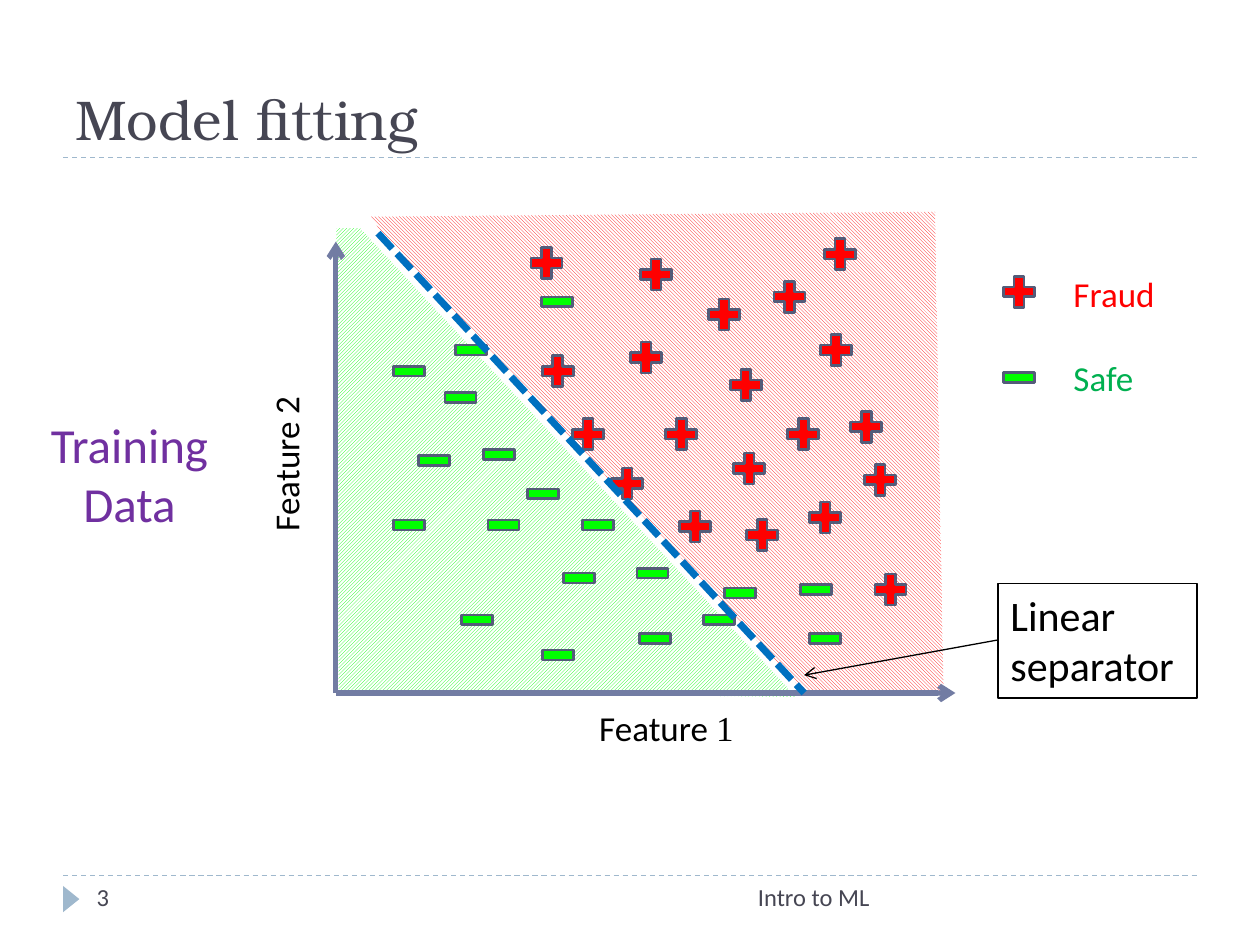
import dataclasses
import typing

import pptx
import pptx.dml.color
import pptx.enum.dml
import pptx.enum.shapes
import pptx.enum.text
import pptx.oxml
import pptx.oxml.ns
import pptx.util

Cm = pptx.util.Cm
Pt = pptx.util.Pt
RGBColor = pptx.dml.color.RGBColor
Kind = pptx.enum.shapes.MSO_SHAPE
Dash = pptx.enum.dml.MSO_LINE
Hatch = pptx.enum.dml.MSO_PATTERN
Align = pptx.enum.text.PP_ALIGN
Anchor = pptx.enum.text.MSO_ANCHOR
Fit = pptx.enum.text.MSO_AUTO_SIZE

WHITE = RGBColor(0xFF, 0xFF, 0xFF)
BLACK = RGBColor(0x00, 0x00, 0x00)
RED = RGBColor(0xFF, 0x00, 0x00)
LIME = RGBColor(0x00, 0xFF, 0x00)
GREEN = RGBColor(0x00, 0xB0, 0x50)
BLUE = RGBColor(0x00, 0x70, 0xC0)
PURPLE = RGBColor(0x70, 0x30, 0xA0)
SLATE = RGBColor(0x46, 0x46, 0x53)
STEEL = RGBColor(0x72, 0x7C, 0xA3)
EDGE = RGBColor(0x54, 0x5C, 0x79)
PALE = RGBColor(0x9F, 0xB8, 0xCD)

SANS = "Calibri"
MARK = 0.85

Point = tuple[float, float]


@dataclasses.dataclass
class Label:
    box: tuple[float, float, float, float]
    runs: list[tuple[str, str]]
    size: int
    ink: RGBColor
    align: typing.Any = Align.LEFT
    anchor: typing.Any = Anchor.TOP
    turn: int = 0
    grow: bool = True
    frame: bool = False


@dataclasses.dataclass
class Stroke:
    start: Point
    end: Point
    ink: RGBColor
    width: float
    dash: typing.Any = None
    arrow: bool = False


@dataclasses.dataclass
class Zone:
    points: list[Point]
    hatch: typing.Any
    ink: RGBColor


@dataclasses.dataclass
class Group:
    kind: typing.Any
    fill: RGBColor
    spots: list[Point]


def draw_label(slide: typing.Any, label: Label) -> None:
    box = slide.shapes.add_textbox(*map(Cm, label.box))
    box.rotation = label.turn
    if label.frame:
        box.line.color.rgb = BLACK
        box.line.width = Pt(0.75)
    frame = box.text_frame
    frame.word_wrap = True
    frame.auto_size = Fit.SHAPE_TO_FIT_TEXT if label.grow else Fit.NONE
    frame.vertical_anchor = label.anchor
    para = frame.paragraphs[0]
    para.alignment = label.align
    for text, face in label.runs:
        run = para.add_run()
        run.text = text
        run.font.name = face
        run.font.size = Pt(label.size)
        run.font.color.rgb = label.ink


def draw_stroke(slide: typing.Any, stroke: Stroke) -> None:
    link = slide.shapes.add_connector(
        pptx.enum.shapes.MSO_CONNECTOR.STRAIGHT, *map(Cm, stroke.start + stroke.end))
    link.line.color.rgb = stroke.ink
    link.line.width = Pt(stroke.width)
    if stroke.dash is not None:
        link.line.dash_style = stroke.dash
    props = link._element.spPr
    if stroke.arrow:
        tip = pptx.oxml.parse_xml(
            f'<a:tailEnd {pptx.oxml.ns.nsdecls("a")} type="arrow"/>')
        props.find(pptx.oxml.ns.qn("a:ln")).append(tip)
    props.append(pptx.oxml.parse_xml(f'<a:effectLst {pptx.oxml.ns.nsdecls("a")}/>'))


def draw_zone(slide: typing.Any, zone: Zone) -> None:
    first, *rest = [(Cm(x), Cm(y)) for x, y in zone.points]
    pen = slide.shapes.build_freeform(*first)
    pen.add_line_segments(rest, close=True)
    shape = pen.convert_to_shape()
    shape.shadow.inherit = False
    shape.line.fill.background()
    shape.fill.patterned()
    shape.fill.pattern = zone.hatch
    shape.fill.fore_color.rgb = zone.ink
    shape.fill.back_color.rgb = WHITE


def draw_group(slide: typing.Any, group: Group) -> None:
    for left, top in group.spots:
        mark = slide.shapes.add_shape(
            group.kind, Cm(left), Cm(top), Cm(MARK), Cm(MARK))
        mark.shadow.inherit = False
        mark.fill.solid()
        mark.fill.fore_color.rgb = group.fill
        mark.line.color.rgb = EDGE
        mark.line.width = Pt(1.5)


def draw_wedge(slide: typing.Any) -> None:
    wedge = slide.shapes.add_shape(
        Kind.ISOSCELES_TRIANGLE, Cm(1.17), Cm(17.96), Cm(0.53), Cm(0.33))
    wedge.rotation = 90
    wedge.shadow.inherit = False
    wedge.fill.solid()
    wedge.fill.fore_color.rgb = PALE
    wedge.line.fill.background()


RULES = [Stroke((1.27, y), (24.13, y), PALE, 0.75, Dash.DASH) for y in (17.65, 3.18)]

ZONES = [
    Zone([(7.26, 4.6), (16.05, 14.05), (6.83, 13.94), (6.78, 4.6)],
         Hatch.LIGHT_UPWARD_DIAGONAL, LIME),
    Zone([(7.65, 4.62), (16.23, 13.97), (19.02, 13.94), (18.85, 4.27), (7.47, 4.37)],
         Hatch.LIGHT_DOWNWARD_DIAGONAL, RED),
]

ORIGIN = (6.77, 13.97)
AXES = [Stroke(ORIGIN, end, STEEL, 3, arrow=True) for end in ((19.26, 13.97), (6.77, 4.87))]

FRAUD = Group(Kind.MATH_PLUS, RED, [
    (20.12, 5.46),
    (14.17, 5.92), (11.43, 8.33), (16.21, 10.01), (17.32, 9.25), (10.82, 7.06),
    (10.59, 4.88), (12.6, 6.78), (12.8, 5.11), (14.61, 7.34), (16.43, 6.63),
    (16.51, 4.7), (12.22, 9.32), (17.53, 11.46), (14.68, 9.02), (14.94, 10.36),
    (13.59, 10.19), (13.31, 8.33), (15.77, 8.33), (17.04, 8.18), (15.49, 5.56),
])
SAFE = Group(Kind.MATH_MINUS, LIME, [
    (20.12, 7.19),
    (9.73, 10.16), (10.52, 9.53), (12.73, 11.13), (14.07, 12.07), (9.63, 8.74),
    (7.82, 7.06), (7.82, 10.16), (9.19, 12.07), (11.25, 11.23), (8.33, 8.86),
    (10.8, 5.66), (11.63, 10.16), (16.03, 11.46), (14.5, 11.53), (8.86, 7.59),
    (9.07, 6.63), (12.78, 12.45), (10.82, 12.78), (16.21, 12.45),
])

SPLIT = [
    Stroke((7.62, 4.7), (16.21, 13.97), BLUE, 4, Dash.SQUARE_DOT),
    Stroke((20.12, 12.9), (16.21, 13.61), BLACK, 0.75, arrow=True),
]

LABELS = [
    Label((1.27, 0.64, 22.86, 2.54), [("Model fitting", "TeX Gyre Bonum")], 32, SLATE,
          anchor=Anchor.BOTTOM, grow=False),
    Label((8.05, 17.65, 9.73, 1.02), [("Intro to ML", SANS)], 14, SLATE,
          Align.RIGHT, grow=False),
    Label((1.7, 17.65, 5.51, 1.02), [("3", SANS)], 14, SLATE, grow=False),
    Label((7.62, 14.12, 11.63, 1.12), [("Feature ", SANS), ("1", "Times New Roman")],
          20, BLACK, Align.CENTER),
    Label((-0.05, 8.79, 11.63, 1.12), [("Feature 2", SANS)], 20, BLACK,
          Align.CENTER, turn=270),
    Label((21.39, 5.36, 3.38, 1.12), [("Fraud", SANS)], 20, RED),
    Label((21.39, 7.06, 3.38, 1.12), [("Safe", SANS)], 20, GREEN),
    Label((20.12, 11.76, 4.01, 2.31), [("Linear separator", SANS)], 24, BLACK, frame=True),
    Label((0.64, 8.23, 3.94, 2.64), [("Training Data", SANS)], 28, PURPLE, Align.CENTER),
]


def main() -> None:
    deck = pptx.Presentation()
    deck.slide_width, deck.slide_height = Cm(25.4), Cm(19.05)
    slide = deck.slides.add_slide(deck.slide_layouts[6])
    for rule in RULES:
        draw_stroke(slide, rule)
    draw_wedge(slide)
    for zone in ZONES:
        draw_zone(slide, zone)
    for axis in AXES:
        draw_stroke(slide, axis)
    for group in (FRAUD, SAFE):
        draw_group(slide, group)
    for stroke in SPLIT:
        draw_stroke(slide, stroke)
    for label in LABELS:
        draw_label(slide, label)
    deck.save("out.pptx")


main()
